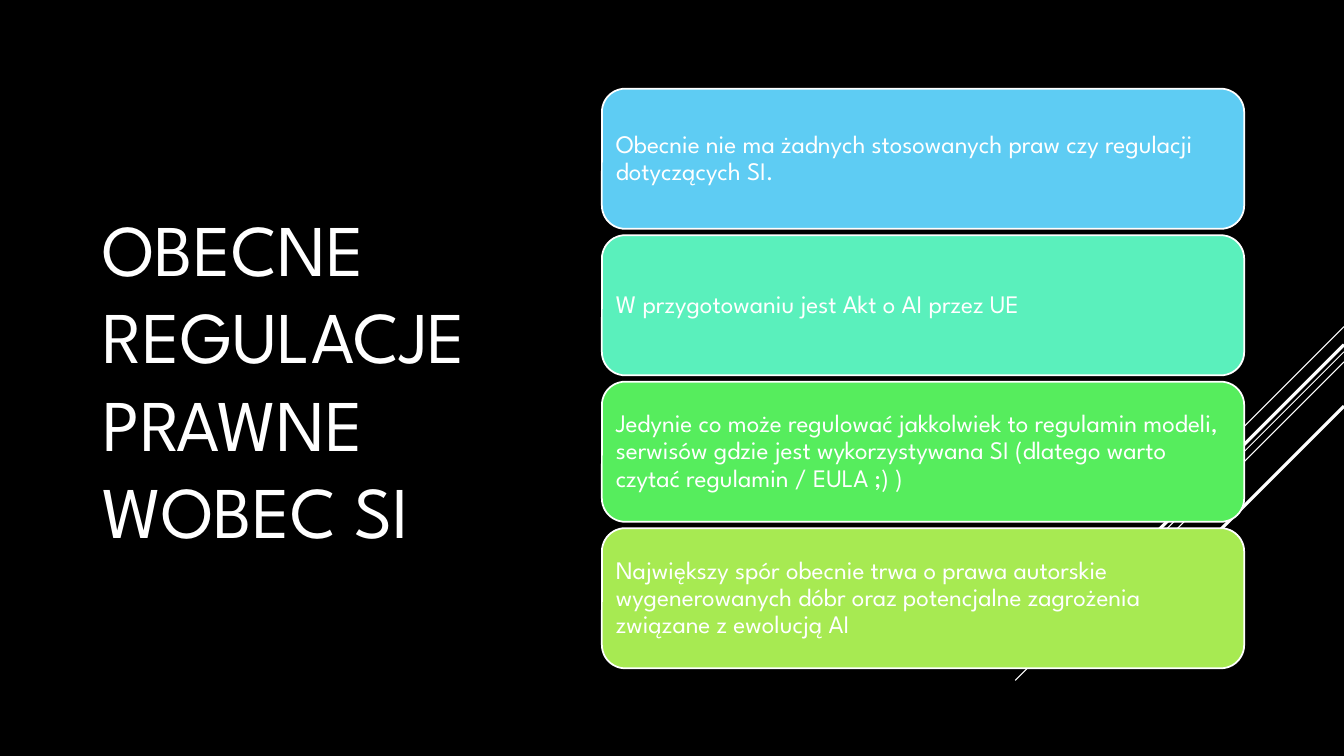
"""Build the slide on current legal regulations of AI."""
import pptx
import pptx.dml.color
import pptx.enum.shapes
import pptx.enum.text
import pptx.oxml.ns
import pptx.util
from pptx.util import Inches

RGBColor = pptx.dml.color.RGBColor
BLACK = RGBColor(0x00, 0x00, 0x00)
WHITE = RGBColor(0xFF, 0xFF, 0xFF)
SKY = RGBColor(0x5E, 0xCC, 0xF3)
MINT = RGBColor(0x5A, 0xF0, 0xBC)
GREEN = RGBColor(0x56, 0xED, 0x5D)
LIME = RGBColor(0xA7, 0xEA, 0x52)

SLIDE_WIDTH = 13.33
CARD_TOP = 0.88
CARD_PITCH = 1.4533


def write_text(shape, text, size, margin, line_spacing):
    frame = shape.text_frame
    frame_format = {
        "word_wrap": True,
        "vertical_anchor": pptx.enum.text.MSO_ANCHOR.MIDDLE,
        "margin_left": margin,
        "margin_right": margin,
        "margin_top": margin,
        "margin_bottom": margin,
    }
    for name, value in frame_format.items():
        setattr(frame, name, value)
    paragraph = frame.paragraphs[0]
    paragraph.alignment = pptx.enum.text.PP_ALIGN.LEFT
    paragraph.line_spacing = line_spacing
    run = paragraph.add_run()
    run.text = text
    font_format = {"name": "League Spartan", "size": pptx.util.Pt(size)}
    for name, value in font_format.items():
        setattr(run.font, name, value)
    run.font.color.rgb = WHITE


presentation = pptx.Presentation()
presentation.slide_width = Inches(SLIDE_WIDTH)
presentation.slide_height = Inches(7.5)
slide = presentation.slides.add_slide(presentation.slide_layouts[6])
slide.background.fill.solid()
slide.background.fill.fore_color.rgb = BLACK

diagonals = [
    (3.24, 1.0, 0.75),
    (3.49, 3.26, 0.75),
    (3.59, 2.07, 0.75),
    (3.42, 1.91, 2.25),
    (4.03, 1.39, 2.25),
]
for top, run_length, width in diagonals:
    diagonal = slide.shapes.add_connector(
        pptx.enum.shapes.MSO_CONNECTOR.STRAIGHT,
        Inches(SLIDE_WIDTH), Inches(top),
        Inches(SLIDE_WIDTH - run_length), Inches(top + run_length),
    )
    diagonal.line.color.rgb = WHITE
    diagonal.line.width = pptx.util.Pt(width)
    properties = diagonal._element.spPr
    properties.append(properties.makeelement(pptx.oxml.ns.qn("a:effectLst"), {}))

title = slide.shapes.add_textbox(Inches(0.92), Inches(0.64), Inches(4.46), Inches(6.23))
write_text(title, "OBECNE REGULACJE PRAWNE WOBEC SI", 52, Inches(0.1), 1.0)

cards = [
    (SKY, "Obecnie nie ma żadnych stosowanych praw czy regulacji dotyczących SI."),
    (MINT, "W przygotowaniu jest Akt o AI przez UE"),
    (GREEN, "Jedynie co może regulować jakkolwiek to regulamin modeli, serwisów gdzie "
            "jest wykorzystywana SI (dlatego warto czytać regulamin / EULA ;) )"),
    (LIME, "Największy spór obecnie trwa o prawa autorskie wygenerowanych dóbr oraz "
           "potencjalne zagrożenia związane z ewolucją AI"),
]
for index, (color, text) in enumerate(cards):
    card = slide.shapes.add_shape(
        pptx.enum.shapes.MSO_SHAPE.ROUNDED_RECTANGLE,
        Inches(5.97), Inches(CARD_TOP + index * CARD_PITCH), Inches(6.37), Inches(1.39),
    )
    card.shadow.inherit = False
    card.fill.solid()
    card.fill.fore_color.rgb = color
    card.line.color.rgb = WHITE
    card.line.width = pptx.util.Pt(1.25)
    write_text(card, text, 18, Inches(0.07), 0.9)

presentation.save("out.pptx")
